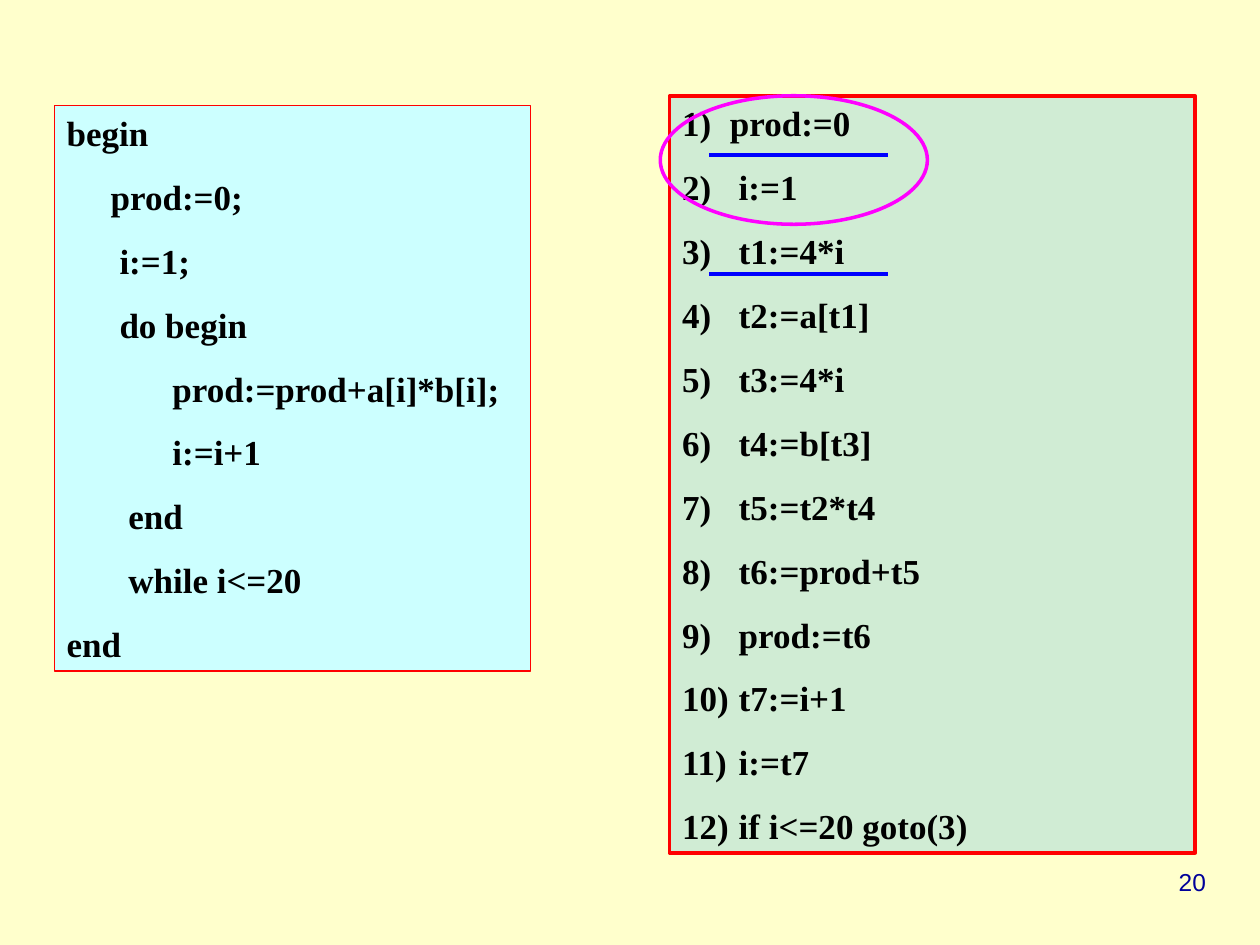
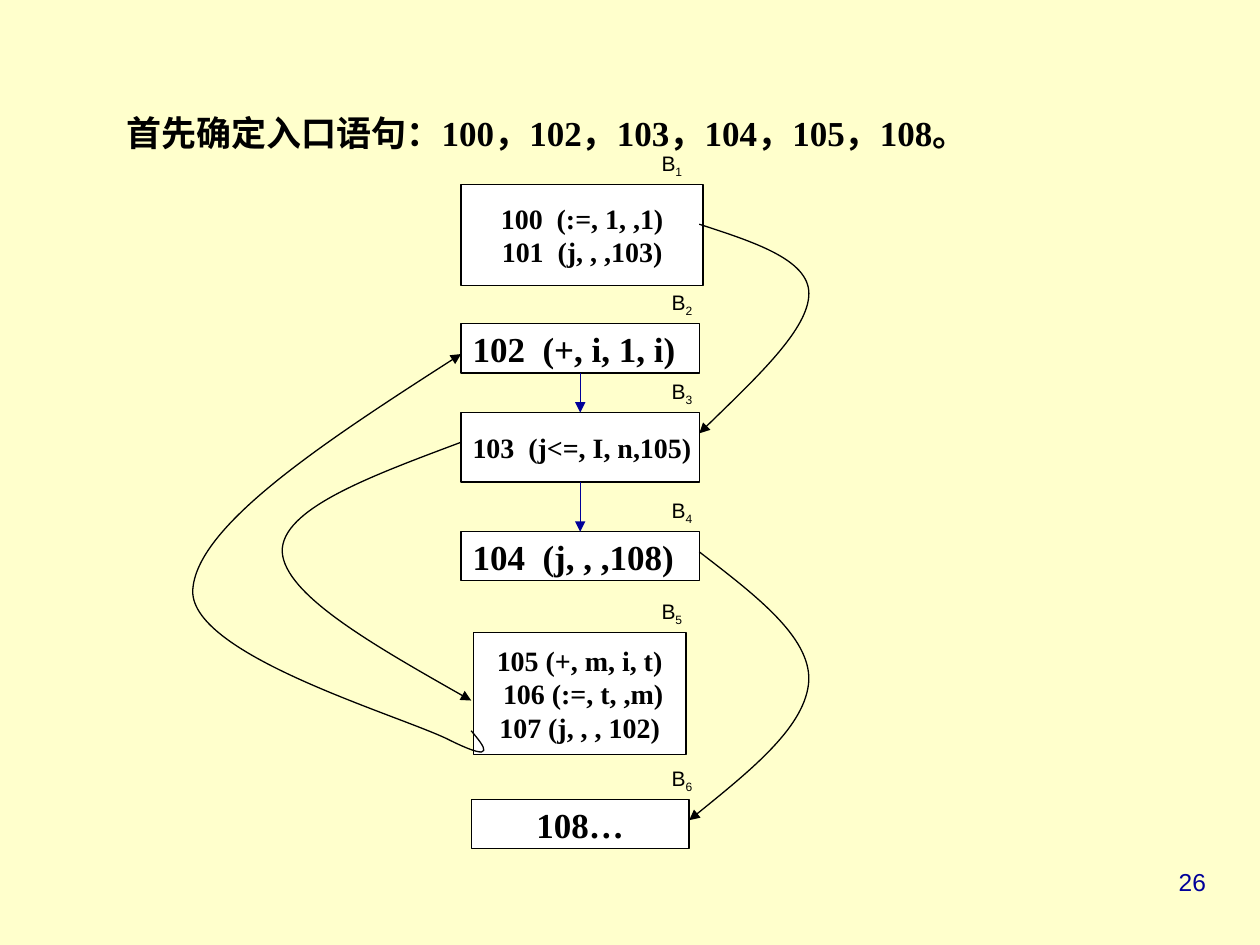
from lxml.etree import SubElement
from pptx import Presentation
from pptx.dml.color import RGBColor
from pptx.enum.shapes import MSO_CONNECTOR, MSO_SHAPE
from pptx.enum.text import MSO_ANCHOR, MSO_AUTO_SIZE, PP_ALIGN
from pptx.oxml.ns import qn
from pptx.util import Inches, Pt

COLORS = {
    "page": "FFFFCC", "source": "CCFFFF", "steps": "D0ECD4", "block": "FFFFFF",
    "ink": "000000", "border": "FF0000", "leader": "0000FF", "ring": "FF00FF",
    "accent": "000099",
}
SERIF, SANS = "Times New Roman", "Arial"
COLUMNS, ROWS = 100, 75
SLIDE_WIDTH, SLIDE_HEIGHT = Inches(10), Inches(7.5)
CODE_GAP = 12.5
SPACE = 0.07

SOURCE_CODE = [
    ("begin", 0), ("prod:=0;", 5), ("i:=1;", 6), ("do begin", 6),
    ("prod:=prod+a[i]*b[i];", 12), ("i:=i+1", 12), ("end", 7),
    ("while i<=20", 7), ("end", 0),
]
STEPS = [
    "prod:=0", "i:=1", "t1:=4*i", "t2:=a[t1]", "t3:=4*i", "t4:=b[t3]",
    "t5:=t2*t4", "t6:=prod+t5", "prod:=t6", "t7:=i+1", "i:=t7",
    "if i<=20 goto(3)",
]
BLOCKS = [
    ((36.6, 14.65, 19.2, 8), 16, PP_ALIGN.CENTER, ["100  (:=, 1, ,1)", "101  (j, , ,103)"]),
    ((36.6, 25.7, 18.9, 3.9), 20, PP_ALIGN.LEFT, ["102  (+, i, 1, i)"]),
    ((36.6, 32.75, 18.9, 5.5), 16, PP_ALIGN.LEFT, ["103  (j<=, I, n,105)"]),
    ((36.6, 42.2, 18.9, 3.9), 20, PP_ALIGN.LEFT, ["104  (j, , ,108)"]),
    ((37.55, 50.2, 16.9, 9.7), 16, PP_ALIGN.CENTER,
     ["105 (+, m, i, t)", " 106 (:=, t, ,m)", "107 (j, , , 102)"]),
    ((37.4, 63.45, 17.3, 3.9), 20, PP_ALIGN.CENTER, ["108…"]),
]
JUMPS = [
    [(55.5, 17.8), (59.8, 19.2), (64.2, 20.6), (64.2, 23.3),
     (64.2, 26.1), (59.8, 30.2), (55.5, 34.4)],
    [(36.6, 35.1), (29.4, 37.8), (22.3, 40.4), (22.4, 43.8),
     (22.6, 47.2), (30, 51.4), (37.4, 55.6)],
    [(55.5, 43.8), (59.9, 47.2), (64.3, 50.5), (64.2, 54),
     (64, 57.6), (59.4, 61.3), (54.7, 65.1)],
    [(37.4, 58), (38.5, 59.3), (39.5, 60.6), (35.8, 58.8),
     (32.2, 56.9), (15.2, 52.1), (15.3, 46.9),
     (15.5, 41.8), (26, 34.9), (36.6, 28.1)],
]


def grid(column, row):
    """Turn a column and a row into slide lengths."""
    return round(SLIDE_WIDTH * column / COLUMNS), round(SLIDE_HEIGHT * row / ROWS)


def area(left, top, width, height):
    """Turn a grid area into left, top, width and height."""
    return *grid(left, top), *grid(width, height)


def color(name):
    """Look up a palette colour."""
    return RGBColor.from_string(COLORS[name])


def add_run(paragraph, text, size=20, font=SERIF, ink="ink", bold=True, subscript=False):
    """Append formatted text to a paragraph."""
    run = paragraph.add_run()
    run.text = text
    run.font.size, run.font.name, run.font.bold = Pt(size), font, bold
    run.font.color.rgb = color(ink)
    if subscript:
        run.font._element.set("baseline", "-25000")


def write(frame, lines, align=PP_ALIGN.LEFT, gap=0, anchor=MSO_ANCHOR.TOP,
          wrap=True, inset=(0.1, 0.05), **font_format):
    """Fill a text frame with lines and return its paragraphs."""
    frame.auto_size = MSO_AUTO_SIZE.NONE
    frame.word_wrap, frame.vertical_anchor = wrap, anchor
    frame.margin_left = frame.margin_right = Inches(inset[0])
    frame.margin_top = frame.margin_bottom = Inches(inset[1])
    paragraphs = []
    for index, line in enumerate(lines):
        paragraph = frame.add_paragraph() if index else frame.paragraphs[0]
        paragraph.alignment = align
        paragraph.space_before = Pt(gap)
        add_run(paragraph, line, **font_format)
        paragraphs.append(paragraph)
    return paragraphs


def indent(paragraph, left, hanging=0, numbered=False):
    """Set a paragraph's indent in inches and, if asked, its number."""
    properties = paragraph._p.get_or_add_pPr()
    properties.set("marL", str(Inches(left)))
    properties.set("indent", str(-Inches(hanging)))
    if numbered:
        SubElement(properties, qn("a:buFont"), typeface=SERIF)
        SubElement(properties, qn("a:buAutoNum"), type="arabicParenR")


def outline(item, ink, width=0.75, arrow=False):
    """Style a line or border and, if asked, give it an arrowhead."""
    item.line.color.rgb = color(ink)
    item.line.width = Pt(width)
    if arrow:
        SubElement(item._element.spPr.find(qn("a:ln")), qn("a:tailEnd"), type="triangle")


def add_figure(slide, kind, place, border, fill=None, width=0.75):
    """Add a preset shape on the grid."""
    figure = slide.shapes.add_shape(kind, *area(*place))
    figure.shadow.inherit = False
    if fill:
        figure.fill.solid()
        figure.fill.fore_color.rgb = color(fill)
    else:
        figure.fill.background()
    outline(figure, border, width)
    return figure


def add_text(slide, place, text, **text_format):
    """Add a one-line text box on the grid and return its paragraph."""
    box = slide.shapes.add_textbox(*area(*place))
    return write(box.text_frame, [text], **text_format)[0]


def add_line(slide, start, end, ink, width=0.75, arrow=False):
    """Add a straight line between two grid points."""
    line = slide.shapes.add_connector(MSO_CONNECTOR.STRAIGHT, *grid(*start), *grid(*end))
    outline(line, ink, width, arrow)
    SubElement(line._element.spPr, qn("a:effectLst"))


def add_jump(slide, controls):
    """Draw a curved arrow, joining each three control points into a cubic curve."""
    builder = slide.shapes.build_freeform(*grid(*controls[0]))
    builder.add_line_segments([grid(*point) for point in controls[1:]], close=False)
    jump = builder.convert_to_shape()
    course = next(jump._element.iter(qn("a:path")))
    segments = course.findall(qn("a:lnTo"))
    for first in range(0, len(segments), 3):
        curve = SubElement(course, qn("a:cubicBezTo"))
        for segment in segments[first:first + 3]:
            curve.append(segment[0])
            course.remove(segment)
    jump.shadow.inherit = False
    jump.fill.background()
    outline(jump, "ink", arrow=True)


def add_page(deck, layout, number):
    """Add a slide with its page number."""
    slide = deck.slides.add_slide(deck.slide_layouts.get_by_name(layout))
    add_text(slide, (71.7, 68.3, 25, 5.2), number, align=PP_ALIGN.RIGHT,
             size=14, font=SANS, ink="accent", bold=False)
    return slide


def add_block(slide, number, place, size, align, lines):
    """Add a basic block and its subscripted label."""
    block = add_figure(slide, MSO_SHAPE.RECTANGLE, place, "ink", "block")
    write(block.text_frame, lines, size=size, align=align, wrap=False,
          anchor=MSO_ANCHOR.MIDDLE, inset=(0.09, 0.04))
    label_left = 51.6 if len(lines) > 1 else 52.4
    label_format = {"size": 12, "font": SANS, "bold": False}
    label = add_text(slide, (label_left, place[1] - 3.12, 7.8, 3.2), "B",
                     inset=(0.09, 0.04), **label_format)
    add_run(label, str(number), subscript=True, **label_format)


def build_code_slide(deck):
    """Show the source program beside its three-address steps."""
    slide = add_page(deck, "Blank", "20")
    source = add_figure(slide, MSO_SHAPE.RECTANGLE, (4.3, 8.35, 37.8, 44.9), "border", "source")
    code_lines = write(source.text_frame, [code for code, _ in SOURCE_CODE], gap=CODE_GAP)
    for paragraph, (_, spaces) in zip(code_lines, SOURCE_CODE):
        indent(paragraph, spaces * SPACE)

    steps = add_figure(slide, MSO_SHAPE.RECTANGLE, (53.15, 7.6, 41.7, 60.1), "border", "steps", 2)
    for index, paragraph in enumerate(write(steps.text_frame, STEPS, gap=CODE_GAP)):
        hanging = 0.45 if index else 0.38
        indent(paragraph, hanging, hanging, numbered=True)

    for row in (12.3, 21.75):
        add_line(slide, (56.3, row), (70.5, row), "leader", 2)
    add_figure(slide, MSO_SHAPE.OVAL, (52.4, 7.6, 21.2, 10.2), "ring", width=2)


def build_flow_slide(deck):
    """Show the basic blocks and the jumps between them."""
    slide = add_page(deck, "Title Only", "26")
    title = slide.shapes.title
    title.left, title.top, title.width, title.height = area(9, 8.35, 83.5, 4.4)
    write(title.text_frame, ["首先确定入口语句：100，102，103，104，105，108。"])

    for number, block in enumerate(BLOCKS, 1):
        add_block(slide, number, *block)
    for upper, lower in zip(BLOCKS[1:3], BLOCKS[2:4]):
        left, top, width, height = upper[0]
        middle = left + width / 2
        add_line(slide, (middle, top + height), (middle, lower[0][1]), "accent", arrow=True)
    for controls in JUMPS:
        add_jump(slide, controls)


def main():
    """Build and save the deck."""
    deck = Presentation()
    deck.slide_width, deck.slide_height = SLIDE_WIDTH, SLIDE_HEIGHT
    page = deck.slide_master.background.fill
    page.solid()
    page.fore_color.rgb = color("page")
    build_code_slide(deck)
    build_flow_slide(deck)
    deck.save("out.pptx")


if __name__ == "__main__":
    main()
